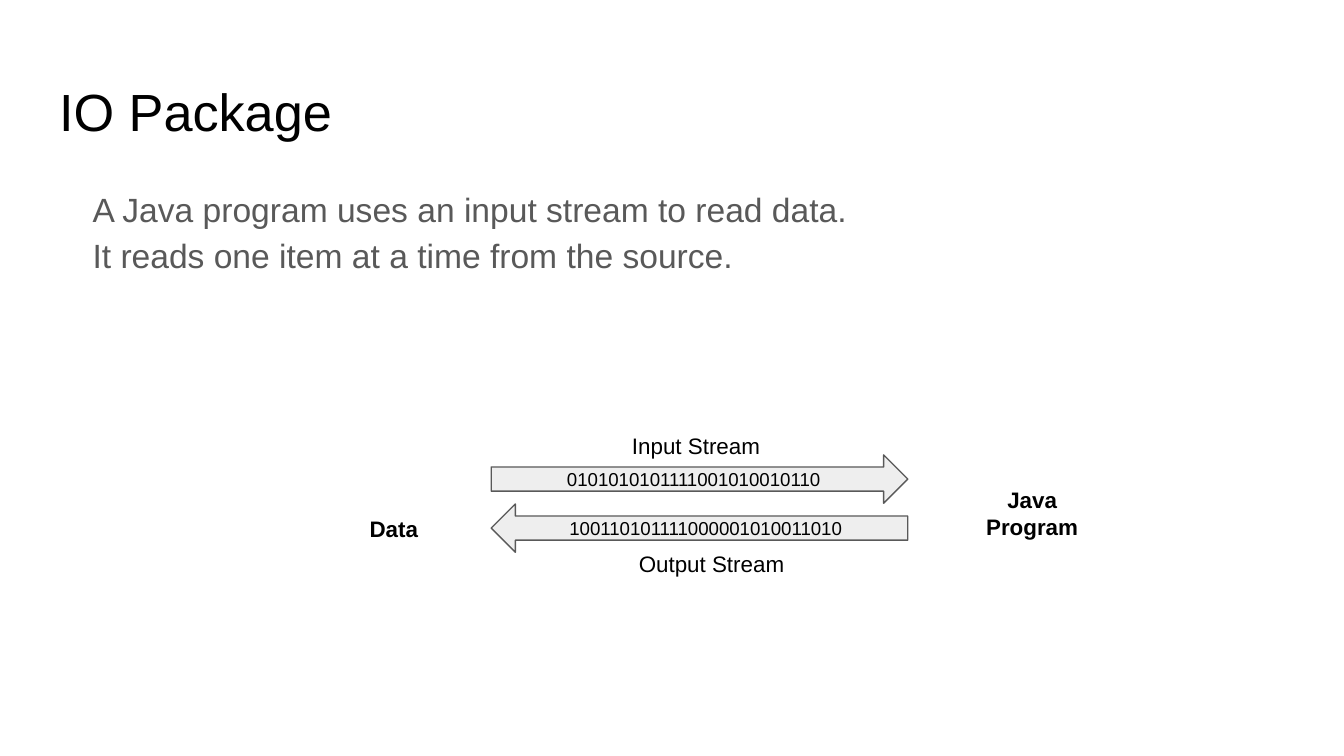
from pptx import Presentation
from pptx.dml.color import RGBColor
from pptx.enum.shapes import MSO_SHAPE as SHAPE
from pptx.enum.text import MSO_ANCHOR as ANCHOR, MSO_AUTO_SIZE as AUTO, PP_ALIGN as ALIGN
from pptx.util import Emu, Pt

PX = 4572  # 200 px to the inch
FONT = "Arial"
COLORS = {"ink": "000000", "grey": "595959", "arrow": "EEEEEE"}


def px(*lengths):
    return [Emu(n * PX) for n in lengths]


def color(name):
    return RGBColor.from_string(COLORS[name])


def set_frame(tf, anchor):
    tf.word_wrap = True
    tf.auto_size = AUTO.NONE
    tf.vertical_anchor = anchor
    tf.margin_left = tf.margin_right = tf.margin_top = tf.margin_bottom = Emu(20 * PX)


def add_run(p, text, size, ink="ink", bold=False):
    r = p.add_run()
    r.text = text
    r.font.name = FONT
    r.font.size = Pt(size)
    r.font.bold = bold
    r.font.color.rgb = color(ink)


def add_centred(sp, text, size, bold=False):
    set_frame(sp.text_frame, ANCHOR.MIDDLE)
    p = sp.text_frame.paragraphs[0]
    p.alignment = ALIGN.CENTER
    add_run(p, text, size, bold=bold)


def place_title(slide, box, text):
    sp = slide.shapes.title
    sp.left, sp.top, sp.width, sp.height = px(*box)
    set_frame(sp.text_frame, ANCHOR.TOP)
    p = sp.text_frame.paragraphs[0]
    p.alignment = ALIGN.LEFT
    add_run(p, text, 28)


def add_body(slide, box, lines):
    tf = slide.shapes.add_textbox(*px(*box)).text_frame
    set_frame(tf, ANCHOR.TOP)
    for i, line in enumerate(lines):
        p = tf.add_paragraph() if i else tf.paragraphs[0]
        pPr = p._p.get_or_add_pPr()
        pPr.set("marL", str(100 * PX))
        pPr.set("indent", str(-50 * PX))
        p.line_spacing = 1.15
        add_run(p, line, 18, "grey")
    p.space_after = Pt(16)


def add_arrow(slide, box, bits, flipped):
    sp = slide.shapes.add_shape(SHAPE.RIGHT_ARROW, *px(*box))
    sp.shadow.inherit = False
    sp.fill.solid()
    sp.fill.fore_color.rgb = color("arrow")
    sp.line.color.rgb = color("grey")
    sp.line.width = Pt(0.75)
    if flipped:
        sp._element.spPr.xfrm.set("flipH", "1")
    add_centred(sp, bits, 10)


def add_stream_diagram(slide, box):
    """Two opposite arrows between the data and the program, with labels."""
    x, y, w, h = box
    arrow_x, arrow_y, arrow_w, arrow_h = x + 204, y + 40, 620, 72
    streams = ["0101010101111001010010110", "100110101111000001010011010"]
    for i, bits in enumerate(streams):
        top = arrow_y + i * (arrow_h + 1)
        add_arrow(slide, (arrow_x, top, arrow_w, arrow_h), bits, i == 1)

    labels = [
        ("Data", (x, y + 123, 118, 52), True),
        ("Java Program", (x + w - 194, y + 83, 194, 86), True),
        ("Input Stream", (x + 346, y, 326, 52), False),
        ("Output Stream", (x + 369, y + h - 52, 326, 52), False),
    ]
    for text, label_box, bold in labels:
        add_centred(slide.shapes.add_textbox(*px(*label_box)), text, 12, bold)


def main():
    prs = Presentation()
    prs.slide_width, prs.slide_height = px(2000, 1125)
    slide = prs.slides.add_slide(prs.slide_layouts[5])
    place_title(slide, (68, 98, 1864, 126), "IO Package")
    add_body(slide, (68, 252, 1864, 160), [
        "A Java program uses an input stream to read data.",
        "It reads one item at a time from the source.",
    ])
    add_stream_diagram(slide, (527, 637, 1106, 228))
    prs.save("out.pptx")


if __name__ == "__main__":
    main()
